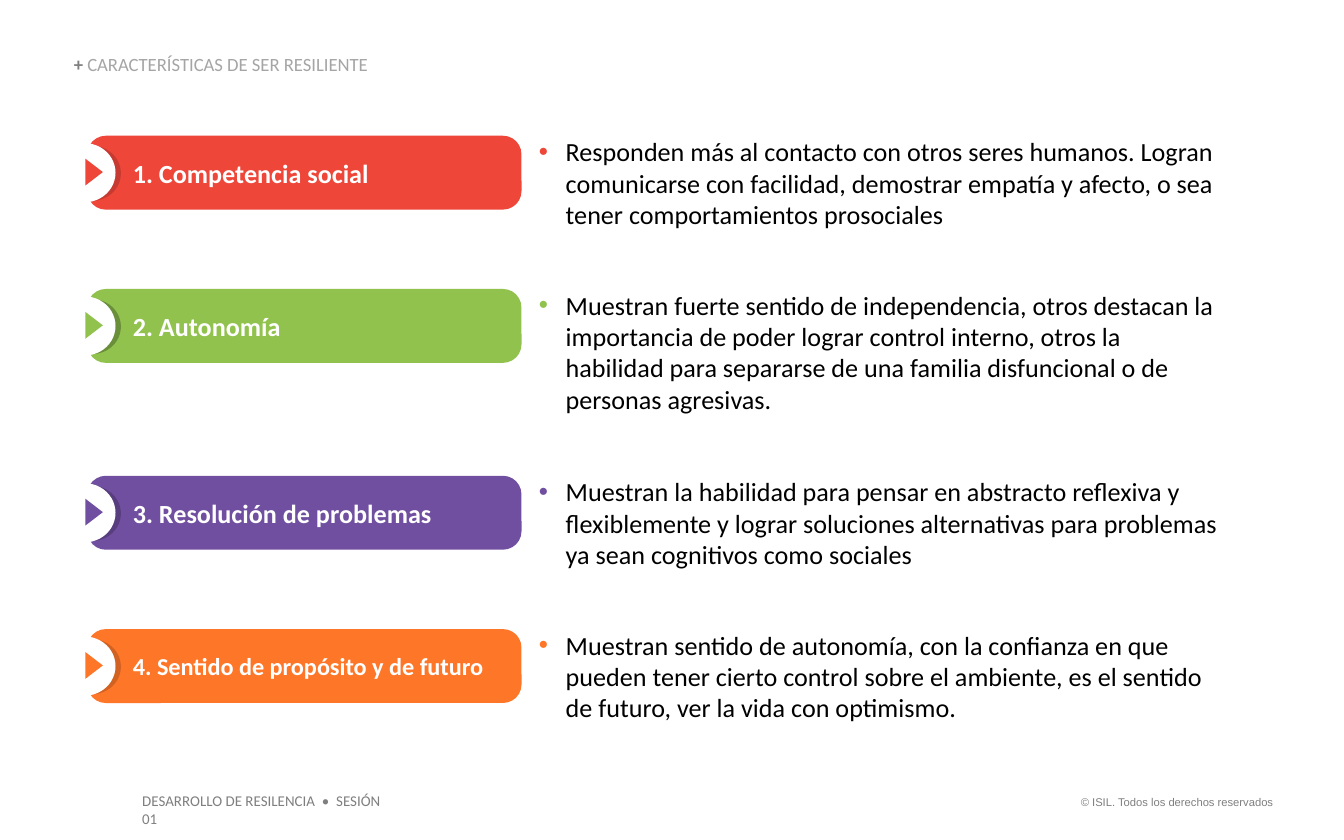
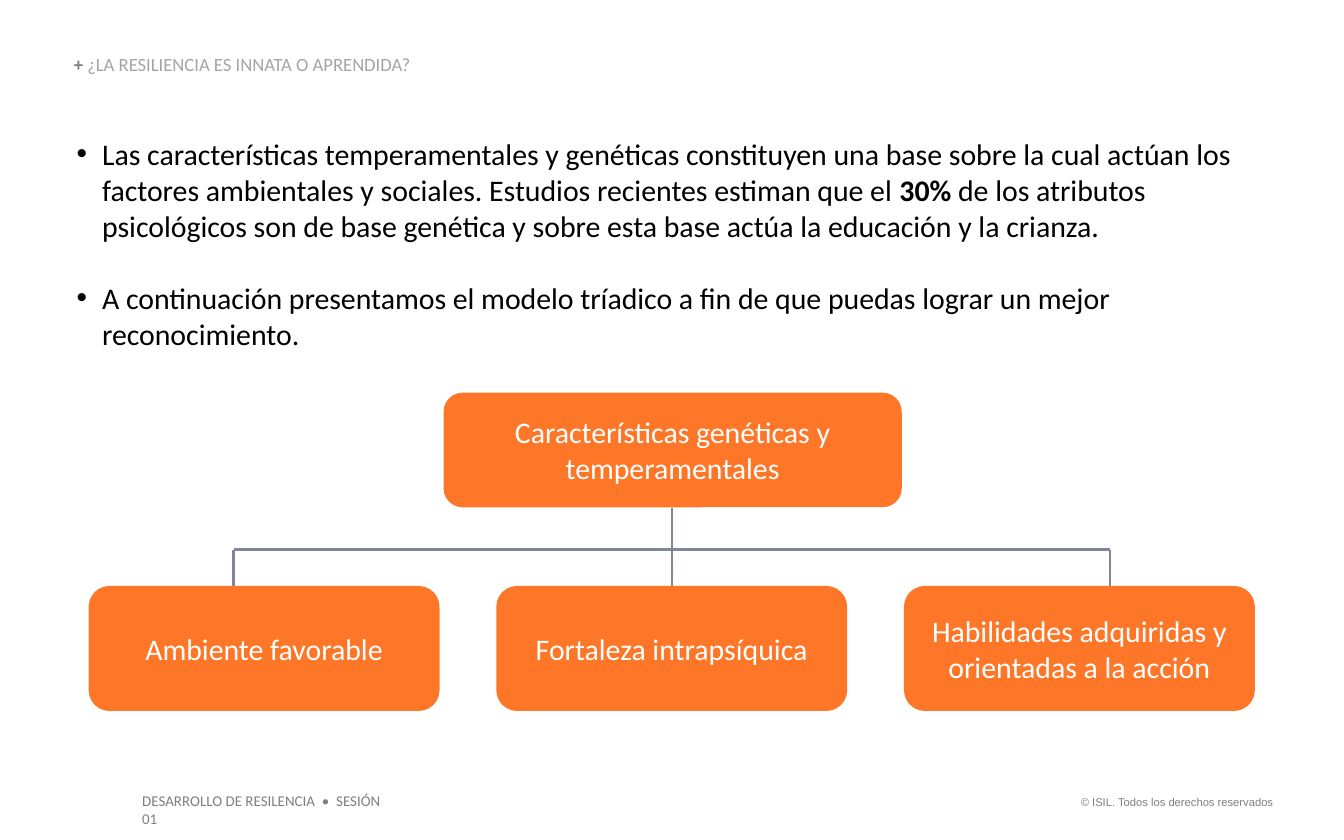
from lxml import etree
from pptx import Presentation
from pptx.dml.color import RGBColor
from pptx.enum.shapes import MSO_CONNECTOR, MSO_SHAPE
from pptx.enum.text import MSO_ANCHOR, PP_ALIGN
from pptx.oxml.ns import qn
from pptx.util import Pt

ROUNDED = MSO_SHAPE.ROUNDED_RECTANGLE
OVAL = MSO_SHAPE.OVAL
TRIANGLE = MSO_SHAPE.ISOSCELES_TRIANGLE
STRAIGHT = MSO_CONNECTOR.STRAIGHT
TOP, MIDDLE, BOTTOM = MSO_ANCHOR.TOP, MSO_ANCHOR.MIDDLE, MSO_ANCHOR.BOTTOM
LEFT, CENTER, RIGHT = PP_ALIGN.LEFT, PP_ALIGN.CENTER, PP_ALIGN.RIGHT

WHITE, BLACK, GRAY, LIGHT_GRAY = "FFFFFF", "000000", "7F7F7F", "A5A5A5"
ORANGE, LINE_GRAY = "FE7628", "808799"

hex_color = RGBColor.from_string


def add_block(shapes, kind, box, fill):
    block = shapes.add_shape(kind, *map(Pt, box))
    block.shadow.inherit = False
    block.fill.solid()
    block.fill.fore_color.rgb = hex_color(fill)
    block.line.fill.background()
    return block


def write(shape, paragraphs, size, color, font="Calibri", align=LEFT, anchor=TOP,
          inset=(0, 0), indent=0, hanging=0, bullet=None, spacing=None, gap=0):
    across, down = map(Pt, inset)
    frame = shape.text_frame
    frame_format = {
        "word_wrap": True, "vertical_anchor": anchor,
        "margin_left": across, "margin_right": across,
        "margin_top": down, "margin_bottom": down,
    }
    for attribute, value in frame_format.items():
        setattr(frame, attribute, value)
    for position, runs in enumerate(paragraphs):
        paragraph = frame.add_paragraph() if position else frame.paragraphs[0]
        paragraph.alignment = align
        if spacing:
            paragraph.line_spacing = spacing
        if position:
            paragraph.space_before = Pt(gap)
        properties = paragraph._p.get_or_add_pPr()
        properties.set("marL", str(Pt(indent)))
        properties.set("indent", str(Pt(-hanging)))
        if bullet:
            bullet_color = etree.SubElement(properties, qn("a:buClr"))
            etree.SubElement(bullet_color, qn("a:srgbClr"), val=bullet)
            etree.SubElement(properties, qn("a:buFont"), typeface="Arial")
            etree.SubElement(properties, qn("a:buChar"), char="•")
        for text, changes in runs:
            run = paragraph.add_run()
            run.text = text
            look = {"size": Pt(size), "name": font, "bold": False, "color": color} | changes
            run.font.color.rgb = hex_color(look.pop("color"))
            for attribute, value in look.items():
                setattr(run.font, attribute, value)


deck = Presentation()
deck.slide_width, deck.slide_height = Pt(720), Pt(450)

slides = []
for title in ["CARACTERÍSTICAS DE SER RESILIENTE", "¿LA RESILIENCIA ES INNATA O APRENDIDA?"]:
    slide = deck.slides.add_slide(deck.slide_layouts[6])
    slides.append(slide)
    rights = slide.shapes.add_textbox(Pt(567.4), Pt(422.6), Pt(121.7), Pt(14.4))
    write(rights, [[("© ISIL. Todos los derechos reservados", {})]], 6, GRAY,
          font="Arial", align=RIGHT, inset=(7.2, 3.6))
    course = slide.shapes.add_textbox(Pt(69.1), Pt(420.5), Pt(152), Pt(17.3))
    write(course, [[("DESARROLLO DE RESILENCIA  •  SESIÓN 01", {})]], 8, GRAY, inset=(7.2, 3.6))
    heading = slide.shapes.add_textbox(Pt(39.6), Pt(29.5), Pt(191.5), Pt(10.8))
    write(heading, [[("+ ", {"bold": True, "color": GRAY}), (title, {})]], 10, LIGHT_GRAY,
          anchor=BOTTOM, spacing=0.9)

traits_slide, model_slide = slides

traits = [
    ("1. Competencia social", 14, "EE4639", "C73A31", 3,
     "Responden más al contacto con otros seres humanos. Logran comunicarse con facilidad, "
     "demostrar empatía y afecto, o sea tener comportamientos prosociales"),
    ("2. Autonomía", 14, "92C24E", "6A8F3A", 4,
     "Muestran fuerte sentido de independencia, otros destacan la importancia de poder lograr "
     "control interno, otros la habilidad para separarse de una familia disfuncional o de "
     "personas agresivas."),
    ("3. Resolución de problemas", 14, "714FA0", "593E7F", 3,
     "Muestran la habilidad para pensar en abstracto reflexiva y flexiblemente y lograr "
     "soluciones alternativas para problemas ya sean cognitivos como sociales"),
    ("4. Sentido de propósito y de futuro", 13, ORANGE, "D26221", 3,
     "Muestran sentido de autonomía, con la confianza en que pueden tener cierto control sobre "
     "el ambiente, es el sentido de futuro, ver la vida con optimismo."),
]
top = 72.7
for label, label_size, accent, shade, lines, description in traits:
    explanation = traits_slide.shapes.add_textbox(Pt(288.7), Pt(top), Pt(367.2), Pt(17 * lines))
    write(explanation, [[(description, {})]], 14, BLACK, indent=14.4, hanging=14.4, bullet=accent)

    badge = traits_slide.shapes.add_group_shape().shapes
    band = add_block(badge, ROUNDED, (46.8, top, 232.6, 39.6), accent)
    band.adjustments[0] = 0.25
    write(band, [[(label, {"bold": True})]], label_size, WHITE,
          anchor=MIDDLE, inset=(7.2, 3.6), indent=14.4)
    add_block(badge, OVAL, (33.8, top + 5.4, 31, 29.5), shade)
    add_block(badge, OVAL, (28.8, top + 4, 33.1, 31.7), WHITE)
    pointer = add_block(badge, TRIANGLE, (43.2, top + 14.8, 14.4, 9.4), accent)
    pointer.rotation = 90
    top += 28.1 + 18 * lines

introduction = model_slide.shapes.add_textbox(Pt(40.3), Pt(72.7), Pt(643), Pt(116.6))
write(introduction, [
    [("Las características temperamentales y genéticas constituyen una base sobre la cual actúan "
      "los factores ambientales y sociales. Estudios recientes estiman que el ", {}),
     ("30%", {"bold": True}),
     (" de los atributos psicológicos son de base genética y sobre esta base actúa la educación "
      "y la crianza.", {})],
    [("A continuación presentamos el modelo tríadico a fin de que puedas lograr un mejor "
      "reconocimiento.", {})],
], 16, BLACK, indent=14.4, hanging=13.7, bullet=BLACK, gap=19.5)

branch_left, branch_right, branch_top, factors_top = 125.3, 594.7, 294.5, 313.9
branches = [
    (branch_left, branch_top, branch_right, branch_top),
    (branch_left, branch_top, branch_left, factors_top),
    (branch_right, branch_top, branch_right, factors_top),
    (360, 272.2, 360, 331.2),
]
for ends in branches:
    branch = model_slide.shapes.add_connector(STRAIGHT, *map(Pt, ends))
    branch.line.color.rgb = hex_color(LINE_GRAY)
    branch.line.width = Pt(1.5)
    etree.SubElement(branch._element.spPr, qn("a:effectLst"))

factors = ["Ambiente favorable", "Fortaleza intrapsíquica",
           "Habilidades adquiridas y orientadas a la acción"]
model = [("Características genéticas y temperamentales", (237.6, 210.4, 245.5, 61.4))]
model += [(factor, (47.5 + 218.4 * column, factors_top, 188, 67))
          for column, factor in enumerate(factors)]
for name, box in model:
    node = add_block(model_slide.shapes, ROUNDED, box, ORANGE)
    write(node, [[(name, {})]], 16, WHITE, align=CENTER, anchor=MIDDLE, inset=(7.2, 3.6))

deck.save("out.pptx")
